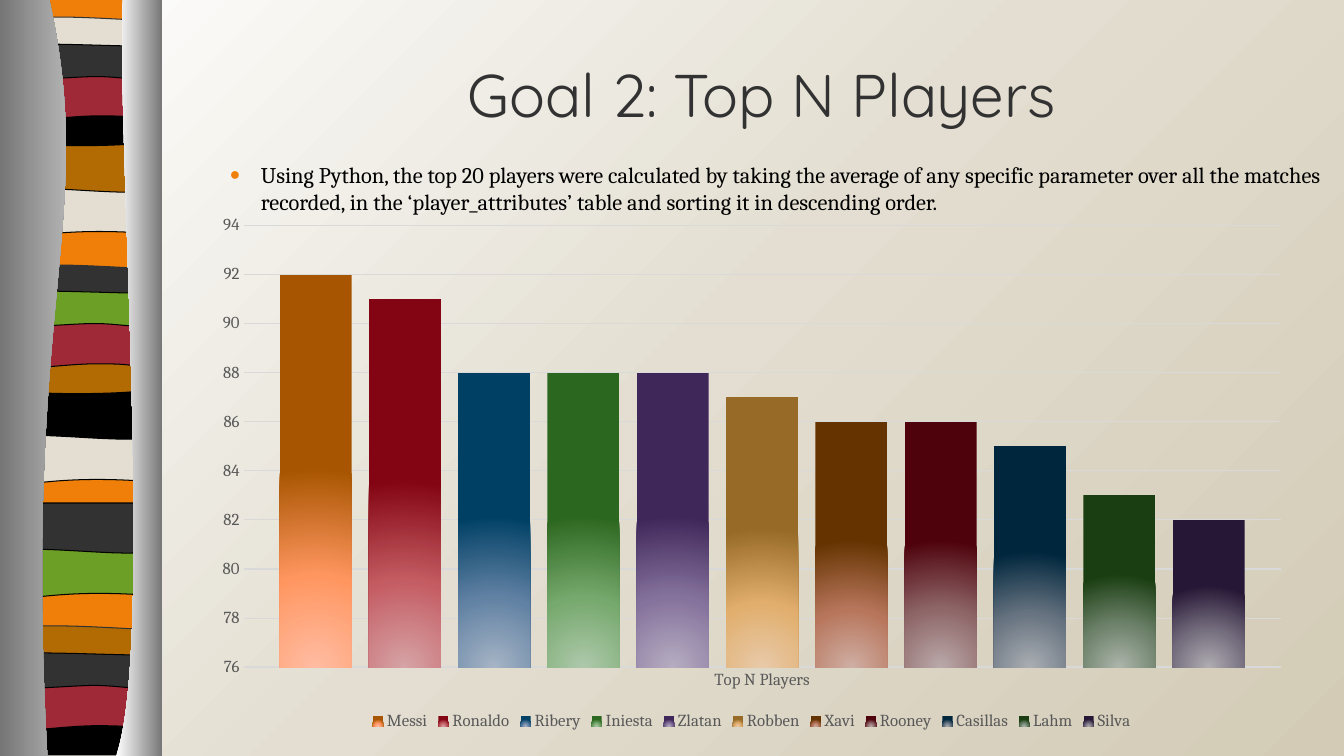
import pptx
import pptx.chart.data
import pptx.dml.color
import pptx.enum.chart
import pptx.enum.shapes
import pptx.enum.text
import pptx.oxml
import pptx.oxml.ns
import pptx.util
from lxml import etree
from pptx.util import Inches

COLORS = {
    "orange": "F07F09", "sand": "E3DED1", "ochre": "B26B02", "charcoal": "323232",
    "black": "000000", "red": "9F2936", "green": "6B9F25", "stone": "D3CBB6",
    "white": "FFFFFF", "steel": "767676", "silver": "D0D0D0",
    "axis text": "595959", "grid": "D9D9D9",
}

# Edges relative to a stripe's top left: two points are a line, more are joined cubics.
FLAT_TOP = [(0, 0), (1.5, 0)]
DIPPED_TOP = [(0, 0), (0.92, 0.05), (1.19, 0), (1.5, 0)]
PROFILES = {  # top edge from left to right, bottom edge from right to left
    "full": (FLAT_TOP, [(1.5, 7.48), (0, 7.48)]),
    "wave": (FLAT_TOP, [(1.5, 0.47), (0.46, 0.39), (0.24, 0.55), (0, 0.47)]),
    "swell": (FLAT_TOP, [(1.5, 0.47), (1.24, 0.55), (0.46, 0.42), (0, 0.47)]),
    "lens": ([(0, 0), (0.09, -0.05), (0.32, -0.04), (0.57, -0.04),
              (0.82, -0.04), (1.3, -0.01), (1.5, 0)],
             [(1.5, 0.24), (1.24, 0.28), (0.24, 0.28), (0, 0.24)]),
    "bowl": (DIPPED_TOP, [(1.5, 0.33), (1.24, 0.39), (0.25, 0.39), (0, 0.33)]),
    "foot": (DIPPED_TOP, [(1.5, 0.37), (0, 0.37)]),
    "arch": (FLAT_TOP, [(1.5, 0.47), (1.27, 0.41), (1.17, 0.41), (0.92, 0.41),
                        (0.67, 0.41), (0.23, 0.47), (0, 0.47)]),
    "ripple": ([(0, 0), (0.21, -0.05), (1.01, 0), (1.5, 0)],
               [(1.5, 0.3), (1.4, 0.36), (1.17, 0.3), (0.92, 0.3),
                (0.67, 0.3), (0.15, 0.36), (0, 0.3)]),
}

STRIPES = [  # profile, left, top, fill, line; back to front
    ("full", 0.04, -0.01, "orange", "black"),
    ("wave", 0.04, 1.85, "sand", "black"),
    ("swell", 0.04, 1.41, "ochre", "black"),
    ("lens", 0.04, 0.21, "sand", "charcoal"),
    ("bowl", 0.04, 1.07, "black", "black"),
    ("arch", 0.04, 0.74, "red", "black"),
    ("ripple", 0.04, 0.46, "charcoal", "black"),
    ("wave", 0.02, 4.31, "sand", "black"),
    ("swell", 0.02, 3.86, "black", "black"),
    ("lens", 0.02, 2.67, "charcoal", "charcoal"),
    ("bowl", 0.02, 3.53, "ochre", "black"),
    ("arch", 0.02, 3.2, "red", "black"),
    ("ripple", 0.02, 2.91, "green", "black"),
    ("wave", 0.04, 5.44, "green", "black"),
    ("swell", 0.04, 4.99, "charcoal", "black"),
    ("lens", 0.02, 6.25, "ochre", "charcoal"),
    ("foot", 0.02, 7.12, "black", "black"),
    ("arch", 0.02, 6.79, "red", "black"),
    ("ripple", 0.02, 6.5, "charcoal", "black"),
]

PLAYERS = [  # name, value, gradient from the foot of the bar upwards
    ("Messi", 92, ("FFBCA2", "FF9660", "A75500")),
    ("Ronaldo", 91, ("D6A3A6", "C45D63", "830412")),
    ("Ribery", 88, ("A6B4C5", "6282A4", "004065")),
    ("Iniesta", 88, ("AEC8AB", "76A96D", "2C671F")),
    ("Zlatan", 88, ("B6ADC1", "86739D", "40275A")),
    ("Robben", 87, ("E8CAA9", "E1AE6D", "976A27")),
    ("Xavi", 86, ("CFAEA3", "B7755B", "643300")),
    ("Rooney", 86, ("BAA9A9", "8E6668", "4E020B")),
    ("Casillas", 85, ("AAAEB3", "687481", "00263D")),
    ("Lahm", 83, ("ACB5AB", "6F836C", "1A3E12")),
    ("Silva", 82, ("AFACB2", "756E7E", "271736")),
]


def rgb(name):
    return pptx.dml.color.RGBColor.from_string(COLORS[name])


def paint_gradient(fill, properties, stops, focus=None):
    """Fill with (percent, hex) stops: circular around focus (l, t, r, b), else left to right."""
    fill.background()
    stop_xml = "".join(
        f'<a:gs pos="{percent * 1000}"><a:srgbClr val="{color}"/></a:gs>' for percent, color in stops)
    if focus:
        sides = " ".join(f'{side}="{value * 1000}"' for side, value in zip("ltrb", focus))
        direction = f'<a:path path="circle"><a:fillToRect {sides}/></a:path>'
    else:
        direction = '<a:lin ang="0" scaled="0"/>'
    gradient = pptx.oxml.parse_xml(
        f'<a:gradFill {pptx.oxml.ns.nsdecls("a")} rotWithShape="1">'
        f"<a:gsLst>{stop_xml}</a:gsLst>{direction}</a:gradFill>")
    properties.replace(properties.find(pptx.oxml.ns.qn("a:noFill")), gradient)


def bend_segments(shape, edges):
    """Join the line segments of each curved edge, three at a time, into cubic curves."""
    lines = list(shape._element.iter(pptx.oxml.ns.qn("a:lnTo")))
    first = 0
    for edge in edges:
        if len(edge) > 2:
            for start in range(first, first + len(edge) - 1, 3):
                curve = etree.Element(pptx.oxml.ns.qn("a:cubicBezTo"))
                lines[start].addprevious(curve)
                for line in lines[start:start + 3]:
                    curve.append(line[0])
                    line.getparent().remove(line)
        first += len(edge)


def add_outline(slide, edges, left=0, top=0):
    points = [(Inches(left + x), Inches(top + y)) for edge in edges for x, y in edge]
    builder = slide.shapes.build_freeform(*points[0], scale=1.0)
    builder.add_line_segments(points[1:], close=True)
    shape = builder.convert_to_shape()
    bend_segments(shape, edges)
    shape.shadow.inherit = False
    return shape


def add_background(slide, width, height):
    shape = slide.shapes.add_shape(
        pptx.enum.shapes.MSO_SHAPE.RECTANGLE, 0, 0, width, height)
    shape.shadow.inherit = False
    shape.line.fill.background()
    stops = [(0, COLORS["stone"]), (50, COLORS["sand"]), (100, COLORS["white"])]
    paint_gradient(shape.fill, shape._element.spPr, stops, (100, 100, 0, 0))


def add_stripe(slide, profile, left, top, color, line_color):
    shape = add_outline(slide, PROFILES[profile], left, top)
    shape.fill.solid()
    shape.fill.fore_color.rgb = rgb(color)
    shape.line.color.rgb = rgb(line_color)
    shape.line.width = pptx.util.Pt(0.75)


def add_cover(slide, edges, start, end):
    """Add a shaded panel that trims the stripes at one side."""
    shape = add_outline(slide, edges)
    shape.line.fill.background()
    paint_gradient(shape.fill, shape._element.spPr, [(0, COLORS[start]), (100, COLORS[end])])


def set_font(font, size, color, name="Cambria"):
    font.size = pptx.util.Pt(size)
    font.name = name
    font.color.rgb = rgb(color)


def add_text(slide, text, box, *, size, color, font="Cambria", align="LEFT",
             anchor="TOP", bullet=None):
    frame = slide.shapes.add_textbox(*map(Inches, box)).text_frame
    frame.word_wrap = True
    frame.vertical_anchor = pptx.enum.text.MSO_ANCHOR[anchor]
    paragraph = frame.paragraphs[0]
    paragraph.alignment = pptx.enum.text.PP_ALIGN[align]
    run = paragraph.add_run()
    run.text = text
    set_font(run.font, size, color, font)
    if bullet:
        paragraph.space_before = pptx.util.Pt(6)
        properties = paragraph._p.get_or_add_pPr()
        properties.set("marL", str(Inches(0.4)))
        properties.set("indent", str(Inches(-0.31)))
        bullet_color = etree.SubElement(properties, pptx.oxml.ns.qn("a:buClr"))
        etree.SubElement(bullet_color, pptx.oxml.ns.qn("a:srgbClr"), val=COLORS["orange"])
        etree.SubElement(properties, pptx.oxml.ns.qn("a:buSzPct"), val="80000")
        etree.SubElement(properties, pptx.oxml.ns.qn("a:buFont"), typeface="Arial")
        etree.SubElement(properties, pptx.oxml.ns.qn("a:buChar"), char=bullet)


def add_player_chart(slide, box):
    data = pptx.chart.data.CategoryChartData()
    data.categories = ["Top N Players"]
    for name, value, _ in PLAYERS:
        data.add_series(name, [value])
    chart = slide.shapes.add_chart(
        pptx.enum.chart.XL_CHART_TYPE.COLUMN_CLUSTERED, *map(Inches, box), data).chart
    chart.has_title = False
    set_font(chart.font, 10, "black")
    chart.has_legend = True
    chart.legend.position = pptx.enum.chart.XL_LEGEND_POSITION.BOTTOM
    chart.legend.include_in_layout = False
    set_font(chart.legend.font, 12, "axis text")

    plot = chart.plots[0]
    plot.vary_by_categories = False
    plot.gap_width, plot.overlap = 100, -24
    for series, (_, _, colors) in zip(plot.series, PLAYERS):
        paint_gradient(series.format.fill, series._element.get_or_add_spPr(),
                       zip((0, 46, 100), colors), (50, 155, 50, -55))

    for axis in (chart.category_axis, chart.value_axis):
        axis.major_tick_mark = axis.minor_tick_mark = pptx.enum.chart.XL_TICK_MARK.NONE
        set_font(axis.tick_labels.font, 12, "axis text")
    chart.category_axis.format.line.color.rgb = rgb("grid")
    chart.category_axis.format.line.width = pptx.util.Pt(1)
    values = chart.value_axis
    values.minimum_scale, values.maximum_scale, values.major_unit = 76, 94, 2
    values.format.line.fill.background()
    values.major_gridlines.format.line.color.rgb = rgb("grid")
    values.major_gridlines.format.line.width = pptx.util.Pt(0.75)


def main():
    presentation = pptx.Presentation()
    presentation.slide_width, presentation.slide_height = Inches(13.33), Inches(7.5)
    slide = presentation.slides.add_slide(presentation.slide_layouts[6])
    add_background(slide, presentation.slide_width, presentation.slide_height)
    for stripe in STRIPES:
        add_stripe(slide, *stripe)
    add_cover(slide, ([(0.49, 0), (0.97, 2.17), (0.22, 2.96), (0.47, 7.5)],
                      [(0, 7.5), (0, 0)]), "steel", "silver")
    add_cover(slide, ([(1.22, 0), (1.15, 1.25), (1.54, 6.47), (1.15, 7.5)],
                      [(1.61, 7.5), (1.61, 0)]), "white", "steel")
    add_text(slide, "Using Python, the top 20 players were calculated by taking the average of any "
             "specific parameter over all the matches recorded, in the ‘player_attributes’ table "
             "and sorting it in descending order.",
             (2.09, 1.55, 11.16, 4.22), size=16, color="black", bullet="●")
    add_text(slide, "Goal 2: Top N Players", (2.09, 0.3, 10.93, 1.25), size=43,
             color="charcoal", font="Quicksand", align="CENTER", anchor="MIDDLE")
    add_player_chart(slide, (1.99, 2.04, 10.93, 5.25))
    presentation.save("out.pptx")


if __name__ == "__main__":
    main()
